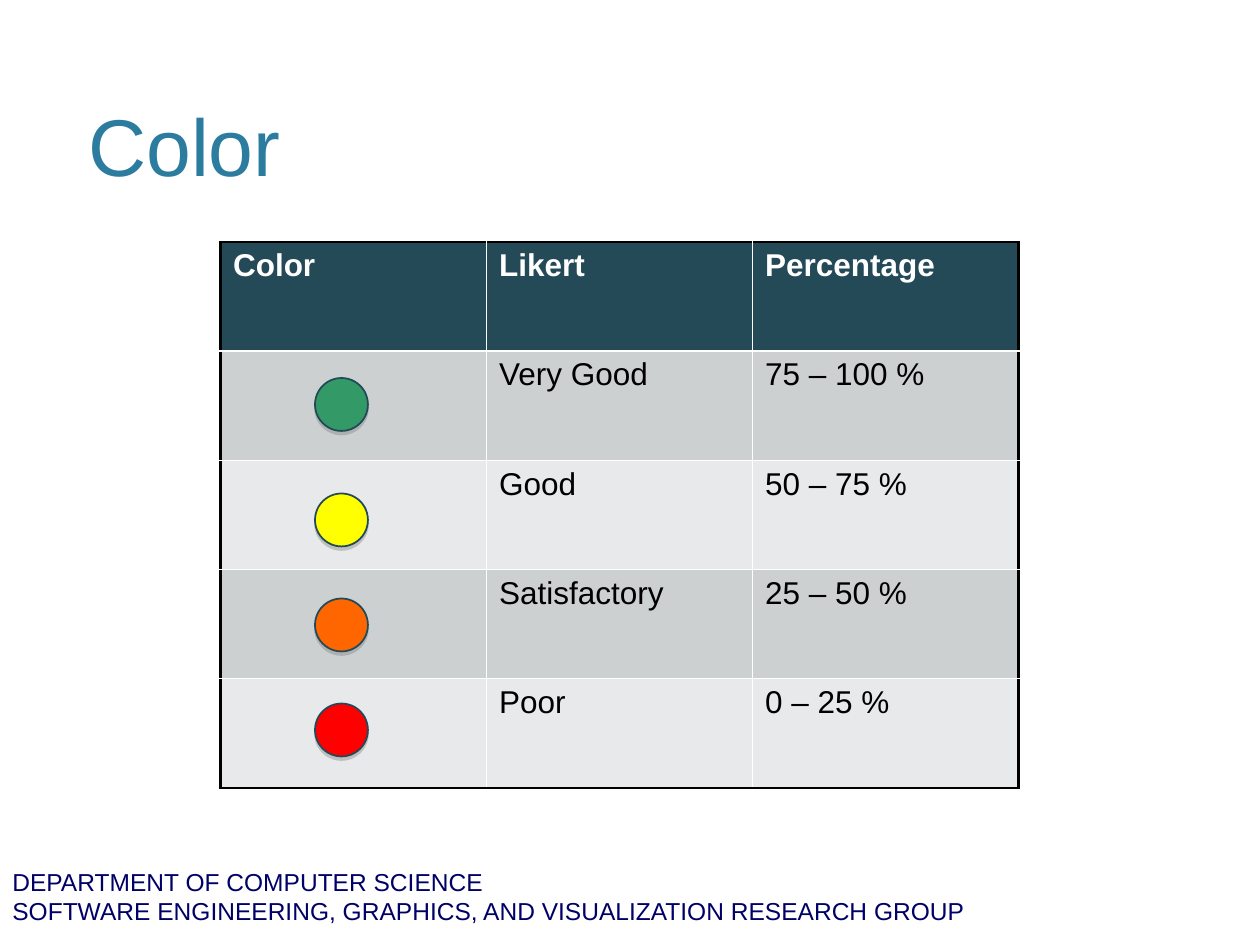
from dataclasses import dataclass

from lxml import etree
from pptx import Presentation
from pptx.dml.color import RGBColor
from pptx.enum.shapes import MSO_SHAPE
from pptx.enum.text import MSO_ANCHOR, MSO_AUTO_SIZE, PP_ALIGN
from pptx.oxml.ns import qn
from pptx.util import Pt

ELLIPSE = MSO_SHAPE.OVAL
BOTTOM = MSO_ANCHOR.BOTTOM
NO_AUTOFIT = MSO_AUTO_SIZE.NONE
LEFT = PP_ALIGN.LEFT

FONT = "Arial"
BLACK, WHITE = "000000", "FFFFFF"
TITLE_COLOR, FOOTER_COLOR = "2C7C9F", "000066"
HEADER_FILL, BANDS = "244A58", ("CCD0D1", "E8E9EA")
MARKER_LINE, SHADOW_COLOR = "224957", "808080"

TABLE_LEFT, TABLE_TOP = 126, 138.24
COLUMN_WIDTH, ROW_HEIGHT = 152, 62.4
MARKER_LEFT, MARKER_SIZE = 180, 30.24
THICK, THIN = 1.47, 0.45


@dataclass(frozen=True)
class Border:
    color: str
    width: float


@dataclass(frozen=True)
class Marker:
    top: float
    color: str


OUTER = Border(BLACK, THICK)
UNDER_HEADER = Border(WHITE, THICK)
INNER = Border(WHITE, THIN)

ROWS = (
    ("Color", "Likert", "Percentage"),
    ("", "Very Good", "75 – 100 %"),
    ("", "Good", "50 – 75 %"),
    ("", "Satisfactory", "25 – 50 %"),
    ("", "Poor", "0 – 25 %"),
)
MARKERS = (
    Marker(216, "339966"),
    Marker(342, "FF6600"),
    Marker(282, "FFFF00"),
    Marker(402, "FF0000"),
)
FOOTER_LINES = (
    "DEPARTMENT OF COMPUTER SCIENCE",
    "SOFTWARE ENGINEERING, GRAPHICS, AND VISUALIZATION RESEARCH GROUP",
)


def rgb(color: str) -> RGBColor:
    return RGBColor.from_string(color)


def add_run(paragraph, text: str, size: float, color: str, bold: bool = False) -> None:
    run = paragraph.add_run()
    run.text = text
    run.font.name = FONT
    run.font.size = Pt(size)
    run.font.bold = bold
    run.font.color.rgb = rgb(color)


def add_solid_color(parent, color: str):
    """Append an a:srgbClr element and return it."""
    return etree.SubElement(parent, qn("a:srgbClr"), val=color)


def set_borders(cell, borders: dict[str, Border]) -> None:
    """Write borders in the schema's order; the cell fill must be set afterwards."""
    properties = cell._tc.get_or_add_tcPr()
    for side in "LRTB":
        border = borders[side]
        line = etree.SubElement(properties, qn(f"a:ln{side}"), w=str(int(Pt(border.width))))
        add_solid_color(etree.SubElement(line, qn("a:solidFill")), border.color)


def cell_borders(row: int, column: int) -> dict[str, Border]:
    last_row, last_column = len(ROWS) - 1, len(ROWS[0]) - 1
    return {
        "L": OUTER if column == 0 else INNER,
        "R": OUTER if column == last_column else INNER,
        "T": OUTER if row == 0 else UNDER_HEADER if row == 1 else INNER,
        "B": OUTER if row == last_row else UNDER_HEADER if row == 0 else INNER,
    }


def add_title(slide) -> None:
    title = slide.shapes.title
    title.left, title.top, title.width, title.height = Pt(43.2), Pt(8.64), Pt(632.88), Pt(105.12)
    frame = title.text_frame
    frame.auto_size = NO_AUTOFIT
    frame.vertical_anchor = BOTTOM
    frame.paragraphs[0].alignment = LEFT
    add_run(frame.paragraphs[0], "Color", 46, TITLE_COLOR)


def add_rating_table(slide) -> None:
    row_count, column_count = len(ROWS), len(ROWS[0])
    table = slide.shapes.add_table(
        row_count, column_count, Pt(TABLE_LEFT), Pt(TABLE_TOP),
        Pt(column_count * COLUMN_WIDTH), Pt(row_count * ROW_HEIGHT),
    ).table
    table.horz_banding = False
    for column in table.columns:
        column.width = Pt(COLUMN_WIDTH)
    for r, labels in enumerate(ROWS):
        table.rows[r].height = Pt(ROW_HEIGHT)
        is_header = r == 0
        for c, label in enumerate(labels):
            cell = table.cell(r, c)
            set_borders(cell, cell_borders(r, c))
            cell.fill.solid()
            cell.fill.fore_color.rgb = rgb(HEADER_FILL if is_header else BANDS[(r - 1) % 2])
            if label:
                add_run(cell.text_frame.paragraphs[0], label, 18,
                        WHITE if is_header else BLACK, is_header)


def add_drop_shadow(shape) -> None:
    shape.shadow.inherit = False
    effects = shape._element.spPr.find(qn("a:effectLst"))
    shadow = etree.SubElement(effects, qn("a:outerShdw"), blurRad="0",
                              dist=str(int(Pt(2))), dir="5400000", rotWithShape="0")
    etree.SubElement(add_solid_color(shadow, SHADOW_COLOR), qn("a:alpha"), val="40000")


def add_marker(slide, marker: Marker) -> None:
    circle = slide.shapes.add_shape(
        ELLIPSE, Pt(MARKER_LEFT), Pt(marker.top), Pt(MARKER_SIZE), Pt(MARKER_SIZE))
    circle.fill.solid()
    circle.fill.fore_color.rgb = rgb(marker.color)
    circle.line.color.rgb = rgb(MARKER_LINE)
    circle.line.width = Pt(1)
    add_drop_shadow(circle)


def add_footer(slide) -> None:
    frame = slide.shapes.add_textbox(Pt(0), Pt(491.76), Pt(720), Pt(41.76)).text_frame
    frame.word_wrap = True
    for index, line in enumerate(FOOTER_LINES):
        paragraph = frame.add_paragraph() if index else frame.paragraphs[0]
        add_run(paragraph, line, 14, FOOTER_COLOR)


def main() -> None:
    presentation = Presentation()
    presentation.slide_width, presentation.slide_height = Pt(720), Pt(540)
    title_only = presentation.slide_layouts[5]
    slide = presentation.slides.add_slide(title_only)
    add_title(slide)
    add_rating_table(slide)
    for marker in MARKERS:
        add_marker(slide, marker)
    add_footer(slide)
    presentation.save("out.pptx")


if __name__ == "__main__":
    main()
